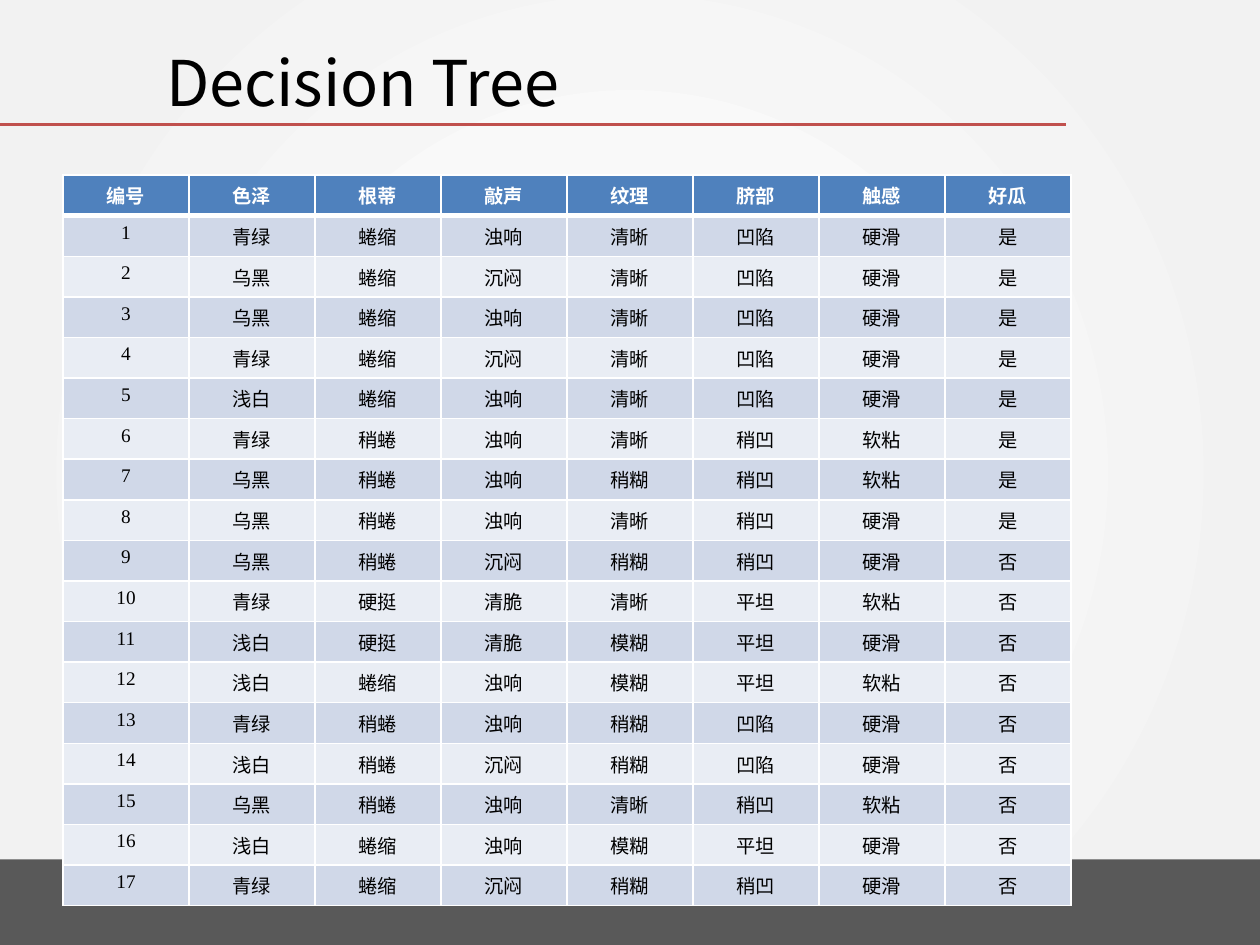
from dataclasses import dataclass

from lxml.etree import SubElement
from pptx import Presentation
from pptx.dml.color import RGBColor
from pptx.enum.shapes import MSO_CONNECTOR, MSO_SHAPE
from pptx.enum.text import MSO_ANCHOR, PP_ALIGN
from pptx.oxml import parse_xml
from pptx.oxml.ns import nsdecls, qn
from pptx.util import Inches, Pt


@dataclass(frozen=True)
class Theme:
    black: str = "000000"
    white: str = "FFFFFF"
    backdrop: str = "F2F2F2"
    footer: str = "595959"
    rule: str = "C0504D"
    header: str = "4F81BD"
    bands: tuple = ("D0D8E8", "E9EDF4")
    latin: str = "Times New Roman"
    cjk: str = "Noto Sans CJK SC"
    title_size: int = 36
    cell_size: int = 11


theme = Theme()

HEADINGS = "编号 色泽 根蒂 敲声 纹理 脐部 触感 好瓜".split()
MELONS = """
青绿 蜷缩 浊响 清晰 凹陷 硬滑 是
乌黑 蜷缩 沉闷 清晰 凹陷 硬滑 是
乌黑 蜷缩 浊响 清晰 凹陷 硬滑 是
青绿 蜷缩 沉闷 清晰 凹陷 硬滑 是
浅白 蜷缩 浊响 清晰 凹陷 硬滑 是
青绿 稍蜷 浊响 清晰 稍凹 软粘 是
乌黑 稍蜷 浊响 稍糊 稍凹 软粘 是
乌黑 稍蜷 浊响 清晰 稍凹 硬滑 是
乌黑 稍蜷 沉闷 稍糊 稍凹 硬滑 否
青绿 硬挺 清脆 清晰 平坦 软粘 否
浅白 硬挺 清脆 模糊 平坦 硬滑 否
浅白 蜷缩 浊响 模糊 平坦 软粘 否
青绿 稍蜷 浊响 稍糊 凹陷 硬滑 否
浅白 稍蜷 沉闷 稍糊 凹陷 硬滑 否
乌黑 稍蜷 浊响 清晰 稍凹 软粘 否
浅白 蜷缩 浊响 模糊 平坦 硬滑 否
青绿 蜷缩 沉闷 稍糊 稍凹 硬滑 否
""".strip().splitlines()


def style_run(r, size, color, latin, bold=False):
    r.font.size = Pt(size)
    r.font.bold = bold
    r.font.color.rgb = RGBColor.from_string(color)
    r.font.name = latin
    SubElement(r.font._element, qn("a:ea"), typeface=theme.cjk)


def set_borders(cell, widths):
    tcPr = cell._tc.get_or_add_tcPr()
    for i, (side, width) in enumerate(widths.items()):
        tcPr.insert(i, parse_xml(
            f'<a:ln{side} {nsdecls("a")} w="{Pt(width)}"><a:solidFill>'
            f'<a:srgbClr val="{theme.white}"/></a:solidFill></a:ln{side}>'))


prs = Presentation()
prs.slide_width, prs.slide_height = Inches(10), Inches(7.5)
s = prs.slides.add_slide(prs.slide_layouts[6])

# Radial background
s.background.fill.solid()
bgPr = s.background._cSld.bg.bgPr
bgPr.replace(bgPr[0], parse_xml(
    f'<a:gradFill {nsdecls("a")} rotWithShape="1"><a:gsLst>'
    f'<a:gs pos="0"><a:srgbClr val="{theme.white}"/></a:gs>'
    f'<a:gs pos="85000"><a:srgbClr val="{theme.backdrop}">'
    f'<a:alpha val="80000"/></a:srgbClr></a:gs>'
    f'<a:gs pos="100000"><a:srgbClr val="{theme.backdrop}"/></a:gs>'
    '</a:gsLst><a:path path="circle">'
    '<a:fillToRect l="50000" t="50000" r="50000" b="50000"/>'
    '</a:path></a:gradFill>'))

# Footer band
footer = s.shapes.add_shape(MSO_SHAPE.RECTANGLE, Inches(-0.67), Inches(6.82),
                            Inches(11.26), Inches(0.71))
footer.shadow.inherit = False
footer.fill.solid()
footer.fill.fore_color.rgb = RGBColor.from_string(theme.footer)
footer.line.fill.background()

# Rule under the title
rule = s.shapes.add_connector(MSO_CONNECTOR.STRAIGHT, Inches(0), Inches(0.99),
                              Inches(8.46), Inches(0.99))
rule.line.color.rgb = RGBColor.from_string(theme.rule)
rule.line.width = Pt(2)
SubElement(rule._element.spPr, qn("a:effectLst"))

# Melon table
rows = [HEADINGS] + [[str(n), *line.split()] for n, line in enumerate(MELONS, 1)]
table = s.shapes.add_table(len(rows), len(HEADINGS), Inches(0.5), Inches(1.39),
                           Inches(8), Inches(0.32) * len(rows)).table
for i, row in enumerate(rows):
    is_header = i == 0
    fill = theme.header if is_header else theme.bands[(i - 1) % 2]
    color = theme.white if is_header else theme.black
    widths = {"L": 1, "R": 1, "T": 3 if i == 1 else 1, "B": 3 if is_header else 1}
    for j, text in enumerate(row):
        cell = table.cell(i, j)
        cell.fill.solid()
        cell.fill.fore_color.rgb = RGBColor.from_string(fill)
        set_borders(cell, widths)
        p = cell.text_frame.paragraphs[0]
        p.text = text
        p.alignment = PP_ALIGN.CENTER
        style_run(p.runs[0], theme.cell_size, color, theme.latin, is_header)

# Title
title = s.shapes.add_textbox(Inches(1.22), Inches(0.29), Inches(7.24), Inches(0.71))
tf = title.text_frame
tf.word_wrap = True
tf.vertical_anchor = MSO_ANCHOR.MIDDLE
tf.text = "Decision Tree"
style_run(tf.paragraphs[0].runs[0], theme.title_size, theme.black, theme.cjk)

prs.save("out.pptx")
